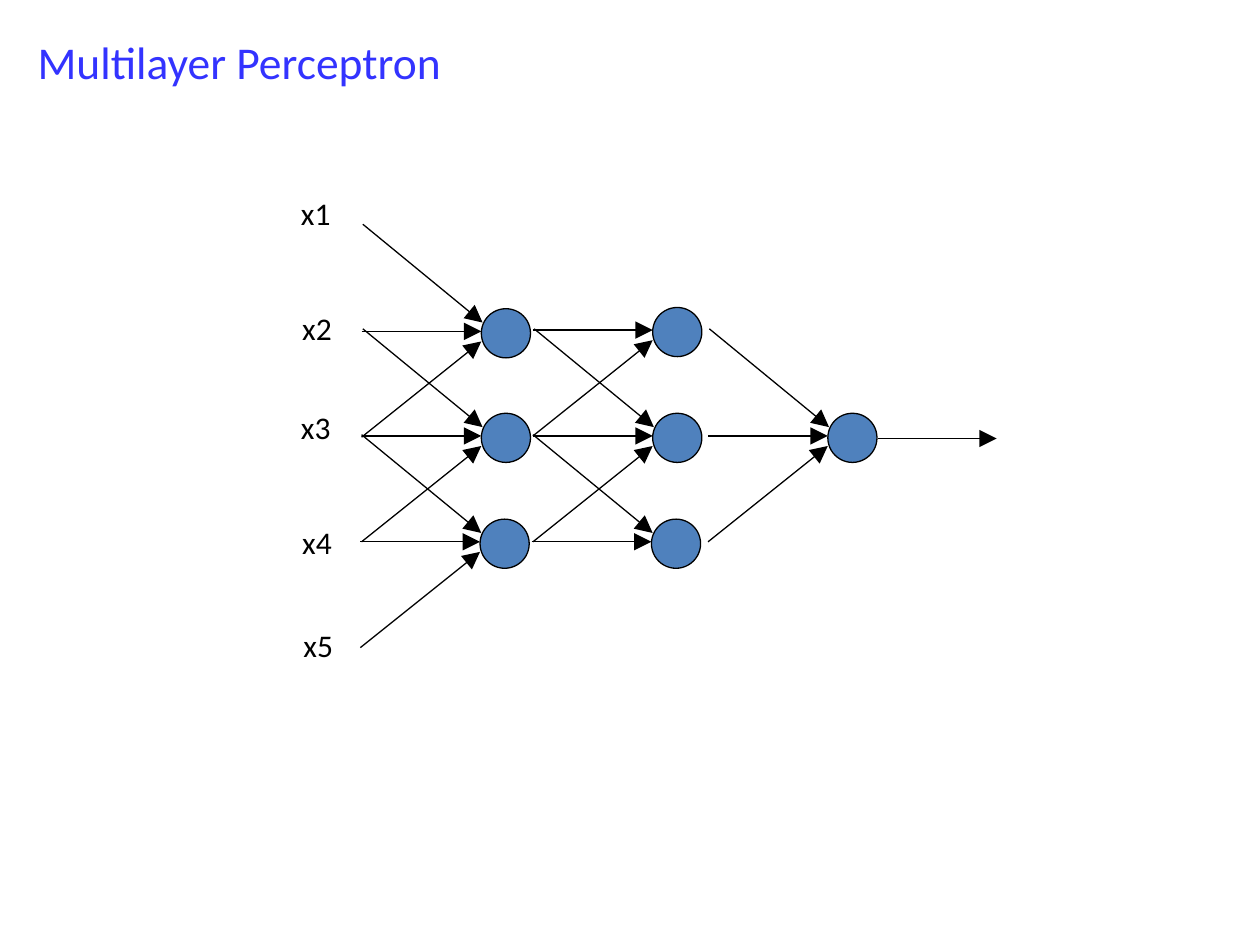
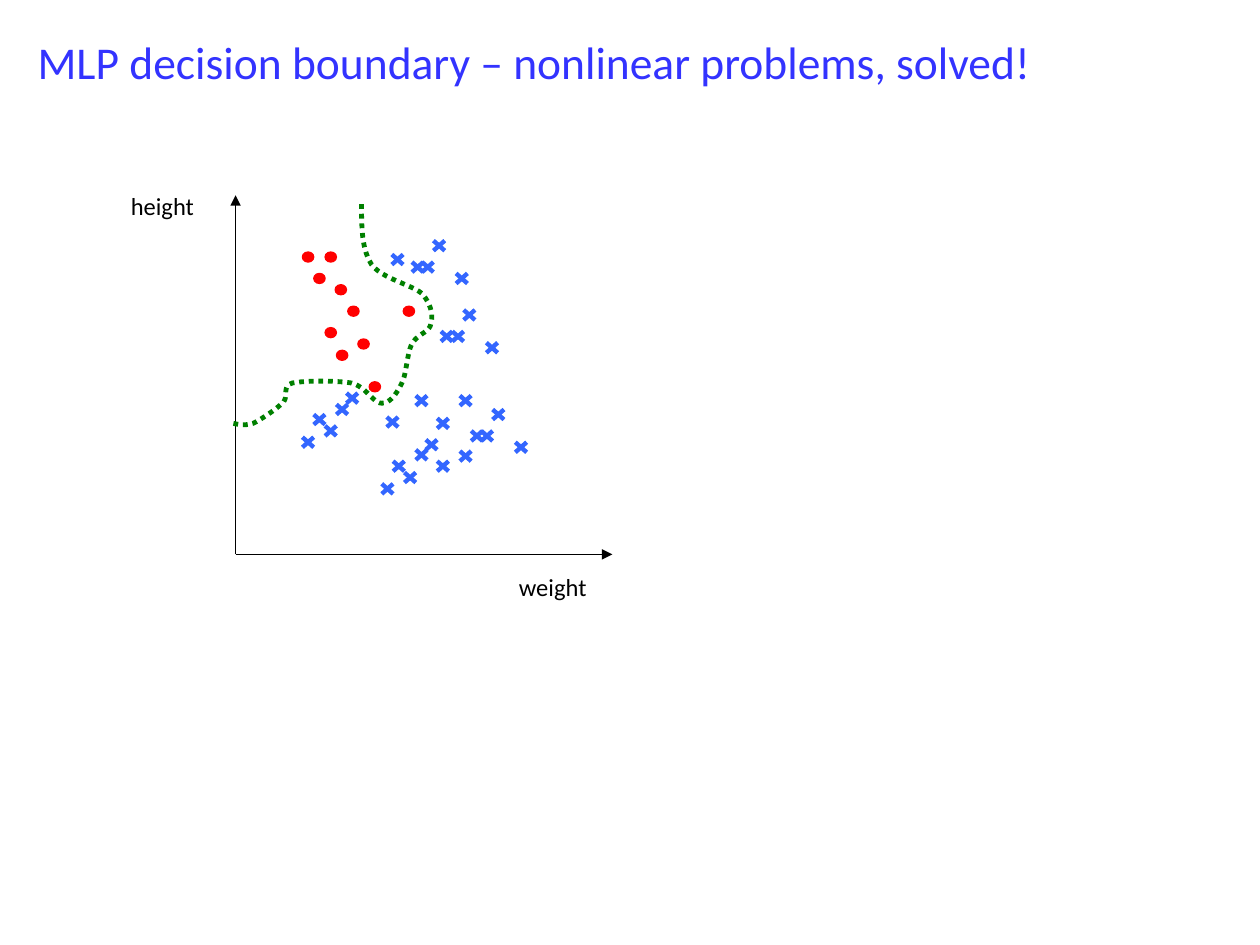
from typing import NamedTuple

from lxml import etree
from pptx import Presentation
from pptx.dml.color import RGBColor
from pptx.enum.dml import MSO_LINE_DASH_STYLE as Dash
from pptx.enum.shapes import MSO_CONNECTOR as Connector, MSO_SHAPE as Shape
from pptx.oxml.ns import qn
from pptx.util import Inches, Pt

# Shared style
FONT = "Calibri"
TITLE_BLUE = "3333FF"
BLACK = "000000"
NODE_BLUE = "4F81BD"
DOT_RED = "FF0000"
CROSS_BLUE = "3366FF"
BOUNDARY_GREEN = "008000"
THIN = 0.75


class Point(NamedTuple):
    x: float
    y: float


class Neuron(NamedTuple):
    x: float
    y: float
    feeds: tuple[str, ...] = ("above", "level", "below")


class Feed(NamedTuple):
    """Start and end of an incoming arrow, relative to a neuron's top left."""
    start: Point
    end: Point


class Label(NamedTuple):
    text: str
    x: float
    y: float


# Multilayer perceptron
NODE_SIZE = 0.39
FEEDS = {
    "above": Feed(Point(-0.94, -0.67), Point(0.01, 0.11)),
    "level": Feed(Point(-0.95, 0.18), Point(0, 0.18)),
    "below": Feed(Point(-0.95, 1.02), Point(0, 0.26)),
}
NEURONS = [
    Neuron(3.82, 2.45), Neuron(3.82, 3.28), Neuron(3.81, 4.12),
    Neuron(5.18, 2.44, ("level", "below")), Neuron(5.18, 3.28),
    Neuron(5.17, 4.12, ("above", "level")),
    Neuron(6.57, 3.28),
]
INPUTS = [Label("x1", 2.29, 1.49), Label("x2", 2.3, 2.4), Label("x3", 2.29, 3.19),
          Label("x4", 2.3, 4.1), Label("x5", 2.31, 4.92)]

# Decision boundary plot: top left corner of each mark
MARK_WIDTH, MARK_HEIGHT = 0.09, 0.08
ORIGIN = Point(1.87, 4.4)
AXIS_ENDS = [Point(1.87, 1.55), Point(4.86, 4.4)]
AXIS_NAMES = [Label("height", 0.94, 1.47), Label("weight", 4.02, 4.49)]
DOTS = [(2.4, 2), (2.66, 2.26), (2.49, 2.17), (2.76, 2.43), (2.58, 2),
        (2.58, 2.6), (2.67, 2.78), (2.84, 2.69), (3.2, 2.43), (2.93, 3.03)]
CROSSES = [
    (3.07, 3.31), (3.38, 3.49), (3.47, 3.32), (3.65, 3.14), (3.21, 3.75), (3.82, 3.42),
    (3.12, 3.66), (3.3, 3.14), (3.3, 3.57), (3.65, 3.58), (3.74, 3.42), (3.91, 3.25),
    (3.47, 3.66), (3.03, 3.84), (3.11, 2.02), (4.09, 3.51), (3.35, 2.08), (3.27, 2.08),
    (3.44, 1.91), (3.62, 2.17), (3.59, 2.63), (3.5, 2.63), (3.68, 2.46), (3.86, 2.72),
    (2.75, 3.12), (2.58, 3.38), (2.49, 3.29), (2.67, 3.21), (2.4, 3.47),
]
BOUNDARY_START = Point(2.87, 1.62)
# Each row: two control points and the end of a cubic curve
BOUNDARY_CURVES = [
    ((2.87, 1.8), (2.87, 1.98), (2.95, 2.1)),
    ((3.03, 2.21), (3.27, 2.26), (3.35, 2.33)),
    ((3.42, 2.41), (3.44, 2.5), (3.42, 2.57)),
    ((3.41, 2.64), (3.31, 2.65), (3.27, 2.73)),
    ((3.23, 2.8), (3.23, 2.96), (3.19, 3.04)),
    ((3.15, 3.12), (3.1, 3.2), (3.03, 3.2)),
    ((2.96, 3.2), (2.91, 3.07), (2.79, 3.04)),
    ((2.68, 3.02), (2.41, 3.02), (2.32, 3.04)),
    ((2.23, 3.07), (2.3, 3.15), (2.24, 3.2)),
    ((2.19, 3.25), (2.07, 3.33), (2.01, 3.36)),
    ((1.94, 3.38), (1.9, 3.37), (1.85, 3.36)),
]
CURVE_STEPS = 12


def rgb(color: str) -> RGBColor:
    return RGBColor.from_string(color)


def add_text(slide, text: str, x: float, y: float, width: float, height: float, *,
             size: float, color: str = BLACK, wrap: bool = False) -> None:
    box = slide.shapes.add_textbox(Inches(x), Inches(y), Inches(width), Inches(height))
    box.text_frame.word_wrap = wrap
    run = box.text_frame.paragraphs[0].add_run()
    run.text = text
    run.font.name = FONT
    run.font.size = Pt(size)
    run.font.color.rgb = rgb(color)


def set_line(outline, color: str, width: float) -> None:
    outline.color.rgb = rgb(color)
    outline.width = Pt(width)


def add_line(slide, start: Point, end: Point, color: str = BLACK,
             width: float = THIN, head: str = "") -> None:
    """Straight line; head is the arrowhead size ("med" or "lg"), if any."""
    line = slide.shapes.add_connector(
        Connector.STRAIGHT, *(Inches(length) for length in (*start, *end)))
    set_line(line.line, color, width)
    if head:
        etree.SubElement(line.line._get_or_add_ln(), qn("a:tailEnd"),
                         type="triangle", w=head, len=head)
    etree.SubElement(line._element.spPr, qn("a:effectLst"))


def add_ellipse(slide, x: float, y: float, width: float, height: float,
                fill: str, outline: str) -> None:
    ellipse = slide.shapes.add_shape(
        Shape.OVAL, Inches(x), Inches(y), Inches(width), Inches(height))
    ellipse.shadow.inherit = False
    ellipse.fill.solid()
    ellipse.fill.fore_color.rgb = rgb(fill)
    set_line(ellipse.line, outline, THIN)


def add_cross(slide, x: float, y: float) -> None:
    right, bottom = x + MARK_WIDTH, y + MARK_HEIGHT
    add_line(slide, Point(x, bottom), Point(right, y), CROSS_BLUE, 2.5)
    add_line(slide, Point(right, bottom), Point(x, y), CROSS_BLUE, 2.5)


def curve_point(start, control1, control2, end, t: float) -> tuple[int, int]:
    """Point of a cubic Bézier curve at t, in slide lengths."""
    s = 1 - t
    x, y = (s**3 * a + 3 * s * s * t * b + 3 * s * t * t * c + t**3 * d
            for a, b, c, d in zip(start, control1, control2, end))
    return Inches(x), Inches(y)


def add_boundary(slide) -> None:
    points, start = [], BOUNDARY_START
    for control1, control2, end in BOUNDARY_CURVES:
        points += [curve_point(start, control1, control2, end, step / CURVE_STEPS)
                   for step in range(1, CURVE_STEPS + 1)]
        start = end
    builder = slide.shapes.build_freeform(*(Inches(v) for v in BOUNDARY_START))
    builder.add_line_segments(points, close=False)
    boundary = builder.convert_to_shape()
    boundary.shadow.inherit = False
    boundary.fill.background()
    set_line(boundary.line, BOUNDARY_GREEN, 2.75)
    boundary.line.dash_style = Dash.ROUND_DOT


def add_titled_slide(deck, title: str, title_height: float):
    slide = deck.slides.add_slide(deck.slide_layouts[6])
    add_text(slide, title, 0.2, 0.22, 9.25, title_height,
             size=26, color=TITLE_BLUE, wrap=True)
    return slide


def add_network_slide(deck) -> None:
    slide = add_titled_slide(deck, "Multilayer Perceptron", 0.53)
    for neuron in NEURONS:
        add_ellipse(slide, neuron.x, neuron.y, NODE_SIZE, NODE_SIZE, NODE_BLUE, BLACK)
        for name in neuron.feeds:
            start, end = (Point(neuron.x + offset.x, neuron.y + offset.y)
                          for offset in FEEDS[name])
            add_line(slide, start, end, head="lg")
    # Output arrow
    add_line(slide, Point(6.97, 3.48), Point(7.91, 3.48), head="lg")
    for label in INPUTS:
        add_text(slide, label.text, label.x, label.y, 0.5, 0.4, size=18)


def add_boundary_slide(deck) -> None:
    slide = add_titled_slide(
        deck, "MLP decision boundary – nonlinear problems, solved!", 0.96)
    # Axes
    for end in AXIS_ENDS:
        add_line(slide, ORIGIN, end, head="med")
    for label in AXIS_NAMES:
        add_text(slide, label.text, label.x, label.y, 0.83, 0.33, size=14)
    # The two classes and the line between them
    for x, y in DOTS:
        add_ellipse(slide, x, y, MARK_WIDTH, MARK_HEIGHT, DOT_RED, DOT_RED)
    for x, y in CROSSES:
        add_cross(slide, x, y)
    add_boundary(slide)


def main() -> None:
    deck = Presentation()
    deck.slide_width, deck.slide_height = Inches(10), Inches(7.5)
    add_network_slide(deck)
    add_boundary_slide(deck)
    deck.save("out.pptx")


if __name__ == "__main__":
    main()
